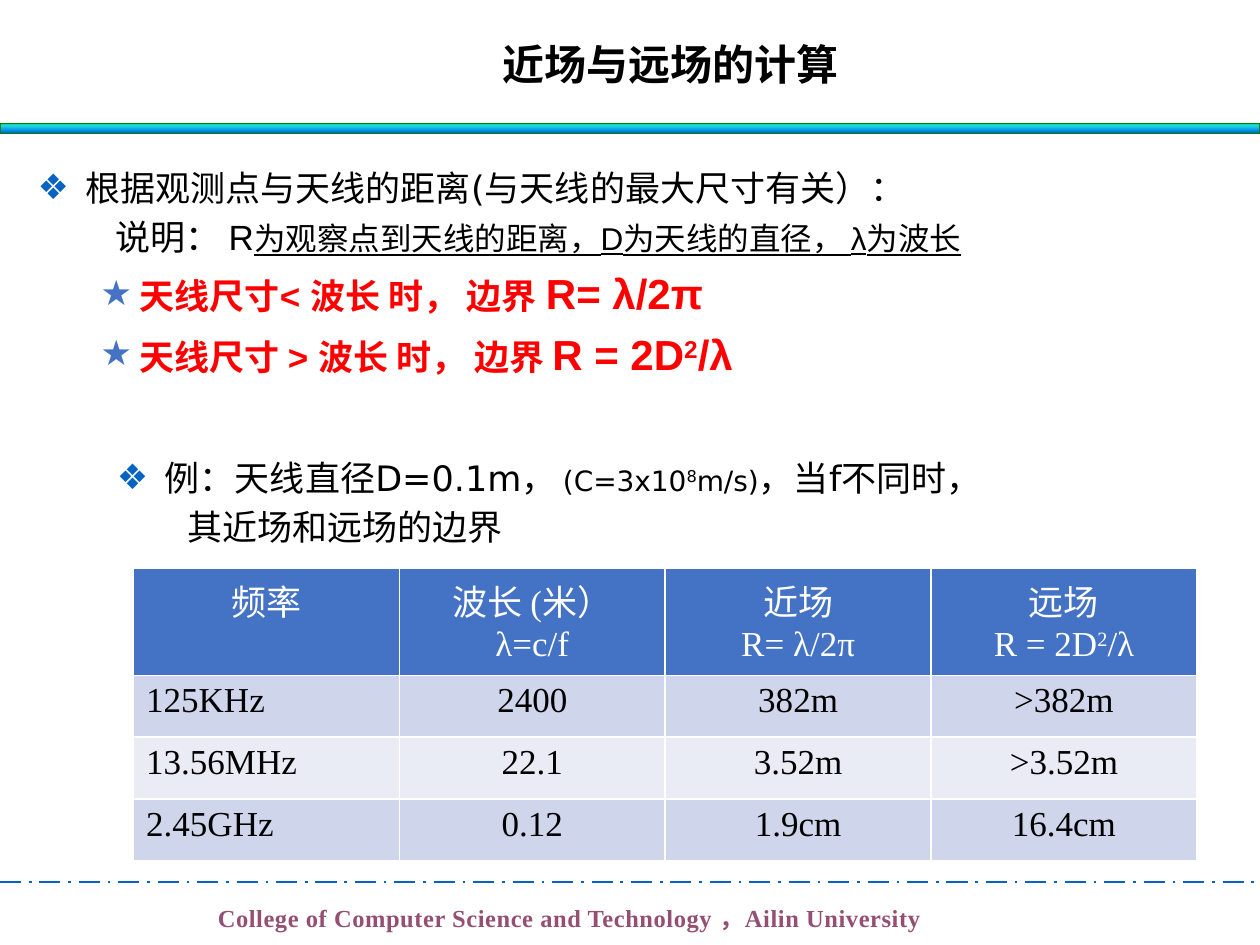
from lxml.etree import SubElement
from pptx import Presentation
from pptx.dml.color import RGBColor
from pptx.enum.dml import MSO_LINE
from pptx.enum.shapes import MSO_CONNECTOR, MSO_SHAPE
from pptx.enum.text import PP_ALIGN
from pptx.oxml.ns import qn
from pptx.util import Inches, Pt

LONG_DASH_DOT = MSO_LINE.LONG_DASH_DOT
STRAIGHT = MSO_CONNECTOR.STRAIGHT
RECTANGLE = MSO_SHAPE.RECTANGLE
CENTER = PP_ALIGN.CENTER
LEFT = PP_ALIGN.LEFT

WIDTH, HEIGHT = Inches(10), Inches(7.5)
COLUMN, ROW = WIDTH / 100, HEIGHT / 75
SANS, ARIAL, SERIF, CHINESE = "DejaVu Sans", "Arial", "Times New Roman", "Noto Sans CJK SC"

COLORS = {
    "black": "000000", "white": "FFFFFF", "red": "FF0000", "footer": "954F72",
    "accent": "0563C1", "star": "4472C4", "edge": "008000",
    "header": "4472C4", "odd": "CFD5EA", "even": "E9EBF5",
}
BAR_STOPS = {0: "03D4A8", 25: "21D6E0", 75: "0087E6", 100: "005CBF"}

HEADINGS = [
    [["频率"]],
    [["波长 (米）"], ["λ=c/f"]],
    [["近场"], ["R= λ/2π"]],
    [["远场"], ["R = 2D", "2", "/λ"]],
]
READINGS = [
    ["125KHz", "2400", "382m", ">382m"],
    ["13.56MHz", "22.1", "3.52m", ">3.52m"],
    ["2.45GHz", "0.12", "1.9cm", "16.4cm"],
]


def color(name):
    return RGBColor.from_string(COLORS[name])


def place(left, top, width, height):
    return [round(n) for n in (left * COLUMN, top * ROW, width * COLUMN, height * ROW)]


def add_span(para, words, size, font=SANS, tone="black", bold=False,
             underline=False, raised=False):
    span = para.add_run()
    span.text = words
    span.font.size = Pt(size)
    span.font.name = font
    span.font.bold = bold
    span.font.underline = underline
    span.font.color.rgb = color(tone)
    SubElement(span.font._element, qn("a:ea"), typeface=CHINESE)
    if raised:
        span.font._element.set("baseline", "30000")
    return span


def add_power(para, base, rest, size, **style):
    add_span(para, base, size, **style)
    add_span(para, "2", size, raised=True, **style)
    add_span(para, rest, size, **style)


def add_box(page, area, wrap=True):
    box = page.shapes.add_textbox(*place(*area))
    box.text_frame.word_wrap = wrap
    return box.text_frame


def format_para(para, margin=0.0, indent=0.0, before=None, bullet=None, tone="accent"):
    props = para._p.get_or_add_pPr()
    props.set("marL", str(Inches(margin)))
    props.set("indent", str(Inches(indent)))
    if before:
        para.space_before = Pt(before)
    else:
        spacing = SubElement(props, qn("a:spcBef"))
        SubElement(spacing, qn("a:spcPct"), val="20000")
    if bullet:
        tint = SubElement(props, qn("a:buClr"))
        SubElement(tint, qn("a:srgbClr"), val=COLORS[tone])
        SubElement(props, qn("a:buFont"), typeface=SANS)
        SubElement(props, qn("a:buChar"), char=bullet)
    return para


def add_title(page):
    para = add_box(page, (38.7, 2.6, 29.1, 5), wrap=False).paragraphs[0]
    para.alignment = CENTER
    add_span(para, "近场与远场的计算", 24, CHINESE, bold=True)


def add_bar(page):
    bar = page.shapes.add_shape(RECTANGLE, *place(0, 9.8, 100, 0.8))
    bar.shadow.inherit = False
    bar.fill.gradient()
    gradient = bar._element.spPr.find(qn("a:gradFill"))
    for child in list(gradient):
        gradient.remove(child)
    stops = SubElement(gradient, qn("a:gsLst"))
    for share, tint in BAR_STOPS.items():
        stop = SubElement(stops, qn("a:gs"), pos=str(share * 1000))
        SubElement(stop, qn("a:srgbClr"), val=tint)
    SubElement(gradient, qn("a:lin"), ang="5400000", scaled="0")
    bar.line.color.rgb = color("edge")
    bar.line.width = Pt(0.75)


def add_footer(page):
    rule = page.shapes.add_connector(STRAIGHT, 0, round(70 * ROW), WIDTH, round(70 * ROW))
    rule.line.color.rgb = color("accent")
    rule.line.width = Pt(1.5)
    rule.line.dash_style = LONG_DASH_DOT
    SubElement(rule._element.spPr, qn("a:effectLst"))
    frame = add_box(page, (16.3, 71.2, 59.2, 3.3))
    frame.margin_right = 0
    para = frame.paragraphs[0]
    para.space_before = Pt(7)
    words = "College of Computer Science and Technology ，Ailin University"
    span = add_span(para, words, 14, SERIF, "footer", bold=True)
    span.font._element.set("spc", "30")


def add_rules(page):
    frame = add_box(page, (2, 12.7, 92.6, 18.2))
    para = format_para(frame.paragraphs[0], 0.38, -0.38, bullet="❖")
    add_span(para, "根据观测点与天线的距离(与天线的最大尺寸有关）：", 20)
    para = format_para(frame.add_paragraph(), 0.81, -0.19)
    add_span(para, "说明： R", 20, ARIAL)
    add_span(para, "为观察点到天线的距离，D为天线的直径， λ为波长", 18, ARIAL, underline=True)
    red = {"font": ARIAL, "tone": "red", "bold": True}
    cases = [("天线尺寸< 波长 时， 边界", " R= λ/2π"), ("天线尺寸 > 波长 时， 边界 ", "R = 2D")]
    for condition, formula in cases:
        para = format_para(frame.add_paragraph(), 0.81, -0.31, 6, "★", "star")
        add_span(para, condition, 20, **red)
        if formula.endswith("D"):
            add_power(para, formula, "/λ", 24, **red)
        else:
            add_span(para, formula, 24, **red)


def add_example(page):
    frame = add_box(page, (8.3, 35.7, 81.1, 8.4))
    para = format_para(frame.paragraphs[0], 0.38, -0.38, bullet="❖")
    add_span(para, "例：天线直径D=0.1m，", 20)
    add_span(para, " (C=3x10", 16)
    add_span(para, "8", 16, raised=True)
    add_span(para, "m/s)", 16)
    add_span(para, "，当f不同时，", 20)
    para = format_para(frame.add_paragraph(), indent=0.56)
    add_span(para, "其近场和远场的边界", 20)


def style_cell(cell, fill):
    props = cell._tc.get_or_add_tcPr()
    for side in "LRTB":
        border = SubElement(props, qn("a:ln" + side), w=str(Pt(1)))
        tint = SubElement(border, qn("a:solidFill"))
        SubElement(tint, qn("a:srgbClr"), val=COLORS["white"])
    cell.fill.solid()
    cell.fill.fore_color.rgb = color(fill)


def add_readings(page):
    area = place(10.6, 45.1, 84.4, 23.2)
    table = page.shapes.add_table(len(READINGS) + 1, len(HEADINGS), *area).table
    for index, row in enumerate(table.rows):
        row.height = round((4.9 if index else 8.5) * ROW)
    for index, lines in enumerate(HEADINGS):
        cell = table.cell(0, index)
        style_cell(cell, "header")
        for number, parts in enumerate(lines):
            frame = cell.text_frame
            para = frame.add_paragraph() if number else frame.paragraphs[0]
            para.alignment = CENTER
            for order, words in enumerate(parts):
                add_span(para, words, 20, SERIF, "white", raised=order == 1)
    for number, values in enumerate(READINGS, 1):
        for index, words in enumerate(values):
            cell = table.cell(number, index)
            style_cell(cell, "odd" if number % 2 else "even")
            para = cell.text_frame.paragraphs[0]
            para.alignment = CENTER if index else LEFT
            add_span(para, words, 20, SERIF)


def main():
    deck = Presentation()
    deck.slide_width, deck.slide_height = WIDTH, HEIGHT
    page = deck.slides.add_slide(deck.slide_layouts[6])
    add_footer(page)
    add_bar(page)
    add_title(page)
    add_rules(page)
    add_example(page)
    add_readings(page)
    deck.save("out.pptx")


if __name__ == "__main__":
    main()
